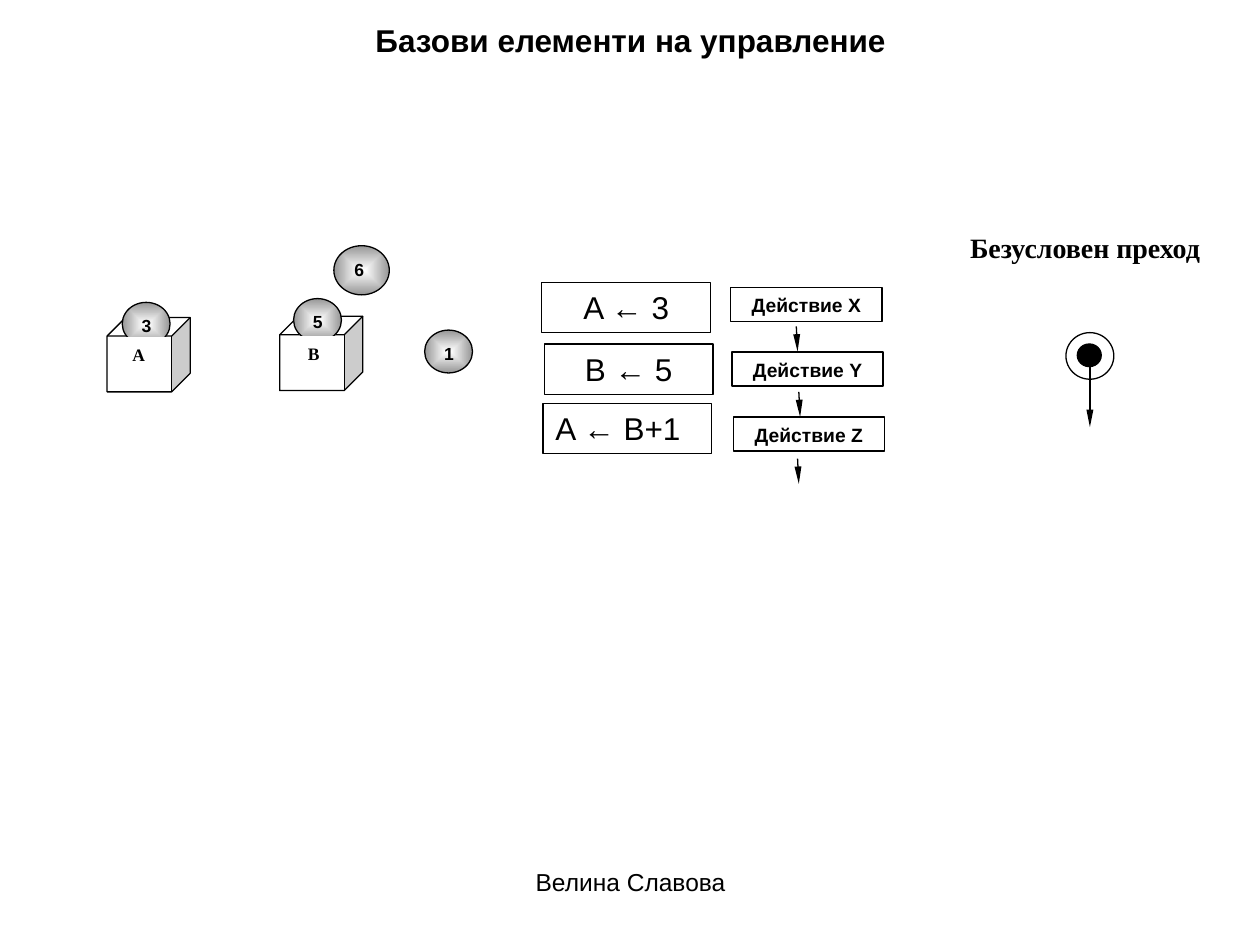
import dataclasses
import typing

import pptx
import pptx.dml.color
import pptx.enum.dml
import pptx.enum.shapes
import pptx.enum.text
import pptx.oxml
import pptx.oxml.ns
import pptx.util

BLACK = pptx.dml.color.RGBColor(0x00, 0x00, 0x00)
WHITE = pptx.dml.color.RGBColor(0xFF, 0xFF, 0xFF)
GRAY = pptx.dml.color.RGBColor(0x96, 0x96, 0x96)

SHAPE = pptx.enum.shapes.MSO_SHAPE
ALIGN = pptx.enum.text.PP_ALIGN
ANCHOR = pptx.enum.text.MSO_ANCHOR
AUTO = pptx.enum.text.MSO_AUTO_SIZE

COLS, ROWS = 100, 75
WIDTH, HEIGHT = pptx.util.Inches(10), pptx.util.Inches(7.5)
LINE_WIDTH = pptx.util.Pt(0.75)

TITLE = dict(name="Arial", size=pptx.util.Pt(18), bold=True)
HEADING = dict(name="Times New Roman", size=pptx.util.Pt(16), bold=True)
ASSIGNMENT = dict(name="Arial", size=pptx.util.Pt(18), bold=False)
ACTION = dict(name="Arial", size=pptx.util.Pt(11), bold=True)
BALL = dict(name="Arial", size=pptx.util.Pt(10), bold=True)
LABEL = dict(name="Times New Roman", size=pptx.util.Pt(10), bold=True)
AUTHOR = dict(name="Arial", size=pptx.util.Pt(14), bold=False)


@dataclasses.dataclass
class Box:
    col: float
    row: float
    cols: float
    rows: float
    text: str = ""
    align: typing.Any = ALIGN.CENTER


def x(cols: float) -> int:
    return round(WIDTH * cols / COLS)


def y(rows: float) -> int:
    return round(HEIGHT * rows / ROWS)


def frame(box: Box) -> tuple:
    return x(box.col), y(box.row), x(box.cols), y(box.rows)


def write(s, box: Box, font: dict, **options) -> None:
    tf = s.text_frame
    settings = dict(
        word_wrap=True, auto_size=AUTO.NONE, vertical_anchor=ANCHOR.TOP,
        margin_left=x(1), margin_right=x(1), margin_top=y(0.5), margin_bottom=y(0.5),
    )
    for key, value in (settings | options).items():
        setattr(tf, key, value)
    p = tf.paragraphs[0]
    p.alignment = box.align
    r = p.add_run()
    r.text = box.text
    for key, value in font.items():
        setattr(r.font, key, value)
    r.font.color.rgb = BLACK


def add_text(sp, box: Box, font: dict) -> None:
    write(sp.add_textbox(*frame(box)), box, font)


def add_shape(sp, kind, box: Box, fill=WHITE, line=BLACK, font=None):
    s = sp.add_shape(kind, *frame(box))
    s.shadow.inherit = False
    if fill is None:
        s.fill.background()
    else:
        s.fill.solid()
        s.fill.fore_color.rgb = fill
    s.line.color.rgb = line
    s.line.width = LINE_WIDTH
    if font:
        write(s, box, font)
    return s


def add_ball(sp, box: Box) -> None:
    s = add_shape(sp, SHAPE.OVAL, box, font=BALL)
    s.fill.gradient()
    for stop, color in zip(s.fill.gradient_stops, (WHITE, GRAY)):
        stop.color.rgb = color
    for stop, position in zip(s.fill.gradient_stops, (0, 1)):
        stop.position = position
    lin = s.element.spPr.find(".//" + pptx.oxml.ns.qn("a:lin"))
    lin.getparent().replace(lin, pptx.oxml.parse_xml(
        f'<a:path {pptx.oxml.ns.nsdecls("a")} path="rect">'
        '<a:fillToRect l="50000" t="50000" r="50000" b="50000"/></a:path>'))


def add_arrow(sp, col: float, row: float, end_col: float, end_row: float) -> None:
    s = sp.add_connector(pptx.enum.shapes.MSO_CONNECTOR.STRAIGHT,
                         x(col), y(row), x(end_col), y(end_row))
    s.line.color.rgb = BLACK
    s.line.width = LINE_WIDTH
    ns = pptx.oxml.ns.nsdecls("a")
    s.line._get_or_add_ln().append(
        pptx.oxml.parse_xml(f'<a:tailEnd {ns} type="triangle" w="sm" len="lg"/>'))
    s.element.spPr.append(pptx.oxml.parse_xml(f"<a:effectLst {ns}/>"))


def add_title(s, box: Box) -> None:
    s.left, s.top, s.width, s.height = frame(box)
    write(s, box, TITLE, word_wrap=False, auto_size=AUTO.SHAPE_TO_FIT_TEXT,
          vertical_anchor=ANCHOR.MIDDLE, margin_left=x(5),
          margin_top=y(1.7), margin_bottom=y(0.4))


def main() -> None:
    prs = pptx.Presentation()
    prs.slide_width, prs.slide_height = WIDTH, HEIGHT
    slide = prs.slides.add_slide(prs.slide_layouts[5])
    sp = slide.shapes
    add_title(sp.title, Box(24.8, 0, 46.7, 5.1, "Базови елементи на управление", ALIGN.LEFT))

    for col, row in ((8.5, 25.2), (22.2, 25.1)):
        add_shape(sp, SHAPE.CUBE, Box(col, row, 6.6, 5.9))
    for col, row, cols, rows, text in (
        (9.7, 24, 3.8, 3.4, "3"),
        (23.3, 23.7, 3.8, 3.4, "5"),
        (26.5, 19.5, 4.4, 3.9, "6"),
        (33.7, 26.2, 3.8, 3.4, "1"),
    ):
        add_ball(sp, Box(col, row, cols, rows, text, ALIGN.LEFT))
    for col, row, text in ((8.7, 26.8, "А"), (22.6, 26.7, "B")):
        add_shape(sp, SHAPE.RECTANGLE, Box(col, row, 4.6, 3.9, text), line=WHITE, font=LABEL)

    for col, row, text, align in (
        (43, 22.4, "A ← 3", ALIGN.CENTER),
        (43.2, 27.3, "B ← 5", ALIGN.CENTER),
        (43.1, 32, "A ← B+1", ALIGN.LEFT),
    ):
        add_shape(sp, SHAPE.RECTANGLE, Box(col, row, 13.4, 4, text, align),
                  fill=None, font=ASSIGNMENT)

    for i, name in enumerate("XYZ"):
        add_shape(sp, SHAPE.RECTANGLE,
                  Box(58 + 0.1 * i, 22.8 + 5.15 * i, 12, 2.7, f"Действие {name}"), font=ACTION)
    for col, row in ((63.2, 25.9), (63.4, 31.1), (63.3, 36.4)):
        add_arrow(sp, col, row, col + 0.1, row + 2)

    add_text(sp, Box(76, 17.8, 22.5, 5.1, "Безусловен преход", ALIGN.LEFT), HEADING)
    add_shape(sp, SHAPE.OVAL, Box(84.6, 26.4, 3.8, 3.7))
    add_shape(sp, SHAPE.OVAL, Box(85.5, 27.3, 1.9, 1.8), fill=BLACK)
    add_arrow(sp, 86.5, 28.2, 86.5, 33.9)

    add_text(sp, Box(34.2, 68.3, 31.7, 5.2, "Велина Славова"), AUTHOR)
    prs.save("out.pptx")


if __name__ == "__main__":
    main()
